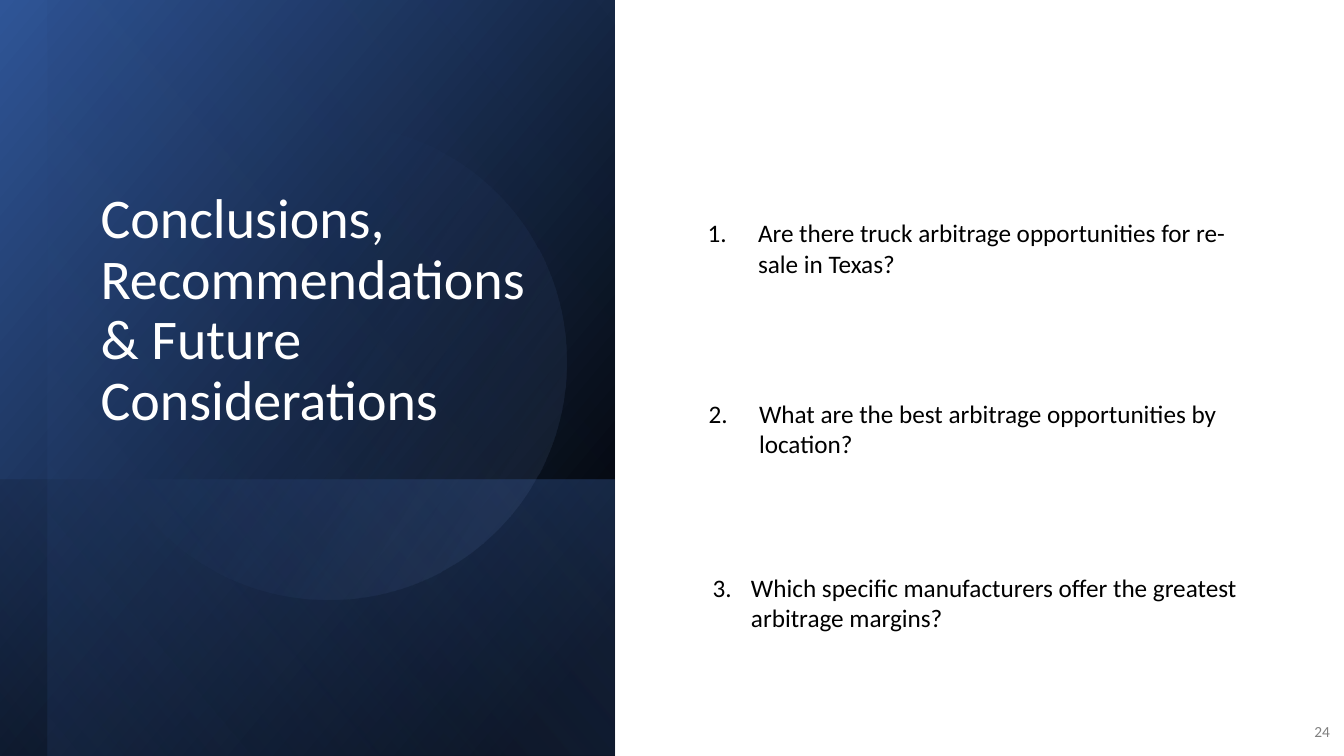
"""Build the conclusions slide with a layered gradient panel and three questions."""
from dataclasses import dataclass, field
from typing import Any, Optional

from lxml.etree import SubElement
from pptx import Presentation
from pptx.dml.color import RGBColor
from pptx.enum.shapes import MSO_SHAPE
from pptx.enum.text import MSO_ANCHOR, PP_ALIGN
from pptx.oxml.ns import qn
from pptx.slide import Slide
from pptx.util import Inches, Pt


@dataclass(frozen=True)
class Stop:
    position: int
    color: str
    opacity: int = 100


@dataclass(frozen=True)
class Layer:
    box: tuple[float, float, float, float]
    stops: tuple[Stop, Stop]
    angle: int
    rotation: float = 90
    preset: MSO_SHAPE = MSO_SHAPE.RECTANGLE
    flipped: bool = True


@dataclass(frozen=True)
class Label:
    box: tuple[float, float, float, float]
    text: str
    size: int
    color: str
    anchor: MSO_ANCHOR = MSO_ANCHOR.TOP
    paragraph_format: dict[str, Any] = field(default_factory=dict)
    number: Optional[int] = None
    indent: float = 0.5


LAYERS = (
    Layer((-0.7, 0.7, 7.5, 6.1), (Stop(8, "000000"), Stop(100, "2F5597")), 50),
    Layer((1.67, 3.08, 2.74, 6.1), (Stop(2, "4472C4", 29), Stop(100, "000000", 30)), 130),
    Layer((-0.46, 0.93, 7.5, 5.63), (Stop(0, "000000", 0), Stop(99, "4472C4", 11)), 130),
    Layer((0.9, 1.23, 4.72, 4.72), (Stop(39, "4472C4", 0), Stop(100, "8FAADC", 15)), 290,
          101.6, MSO_SHAPE.OVAL, False),
)

LABELS = (
    Label((0.9, 0.64, 4.63, 3.7), "Conclusions, Recommendations & Future Considerations",
          40, "FFFFFF", MSO_ANCHOR.BOTTOM, {"line_spacing": 0.9}),
    Label((12.8, 7.06, 0.49, 0.4), "24", 11, "808080", MSO_ANCHOR.MIDDLE,
          {"alignment": PP_ALIGN.RIGHT, "space_after": Pt(6)}),
    Label((6.92, 2.11, 5.57, 0.71),
          "Are there truck arbitrage opportunities for re-sale in Texas?",
          18, "000000", number=1),
    Label((6.93, 3.9, 5.57, 0.71),
          "What are the best arbitrage opportunities by location?",
          18, "000000", number=2),
    Label((6.97, 5.63, 5.89, 0.71),
          "Which specific manufacturers offer the greatest arbitrage margins?",
          18, "000000", number=3, indent=0.38),
)


def rgb(color: str) -> RGBColor:
    """Turn a hex string into a colour."""
    return RGBColor.from_string(color)


def apply_format(target: Any, values: dict[str, Any]) -> None:
    """Set each named attribute on the target."""
    for name, value in values.items():
        setattr(target, name, value)


def draw_layer(slide: Slide, layer: Layer) -> None:
    """Draw one borderless gradient shape."""
    shape = slide.shapes.add_shape(layer.preset, *map(Inches, layer.box))
    shape.rotation = layer.rotation
    shape.shadow.inherit = False
    shape.line.fill.background()
    shape.fill.gradient()
    properties = shape.element.spPr
    if layer.flipped:
        properties.find(qn("a:xfrm")).set("flipH", "1")
    gradient = properties.find(qn("a:gradFill"))
    for child in list(gradient):
        gradient.remove(child)
    stop_list = SubElement(gradient, qn("a:gsLst"))
    for stop in layer.stops:
        entry = SubElement(stop_list, qn("a:gs"), pos=str(stop.position * 1000))
        color = SubElement(entry, qn("a:srgbClr"), val=stop.color)
        SubElement(color, qn("a:alpha"), val=str(stop.opacity * 1000))
    SubElement(gradient, qn("a:lin"), ang=str(layer.angle * 60000), scaled="0")


def draw_label(slide: Slide, label: Label) -> None:
    """Draw one text box, numbered when the label has a number."""
    text_box = slide.shapes.add_textbox(*map(Inches, label.box))
    frame = text_box.text_frame
    apply_format(frame, {"word_wrap": True, "vertical_anchor": label.anchor})
    paragraph = frame.paragraphs[0]
    apply_format(paragraph, label.paragraph_format)
    if label.number is not None:
        properties = paragraph._p.get_or_add_pPr()
        properties.set("marL", str(Inches(label.indent)))
        properties.set("indent", str(-Inches(label.indent)))
        SubElement(properties, qn("a:buAutoNum"), type="arabicPeriod",
                   startAt=str(label.number))
    run = paragraph.add_run()
    run.text = label.text
    apply_format(run.font, {"name": "Calibri", "size": Pt(label.size)})
    run.font.color.rgb = rgb(label.color)


def main() -> None:
    """Assemble and save the presentation."""
    presentation = Presentation()
    apply_format(presentation, {"slide_width": Inches(13.33), "slide_height": Inches(7.5)})
    slide = presentation.slides.add_slide(presentation.slide_layouts[6])
    slide.background.fill.solid()
    slide.background.fill.fore_color.rgb = rgb("FFFFFF")
    for layer in LAYERS:
        draw_layer(slide, layer)
    for label in LABELS:
        draw_label(slide, label)
    presentation.save("out.pptx")


if __name__ == "__main__":
    main()
